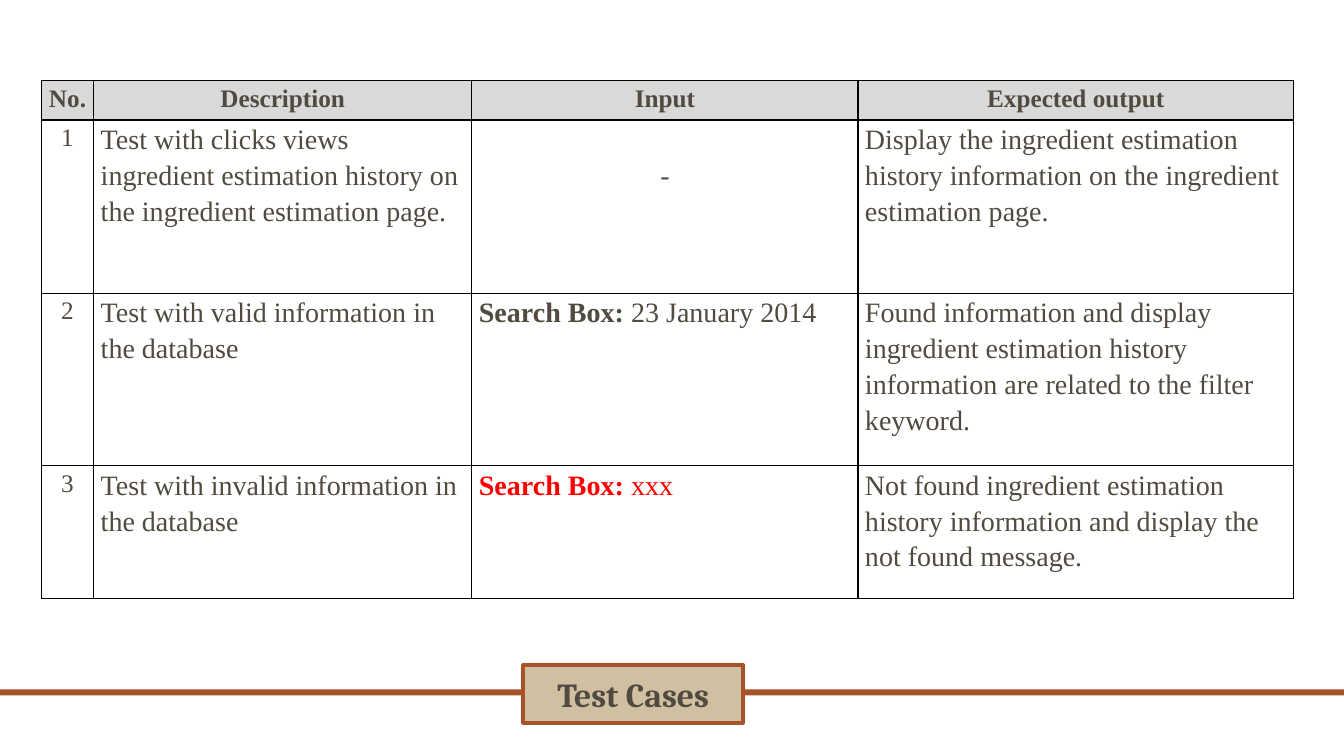
from pptx import Presentation
from pptx.dml.color import RGBColor
from pptx.enum.shapes import MSO_SHAPE as SHAPE
from pptx.enum.text import MSO_ANCHOR as ANCHOR, PP_ALIGN as ALIGN
from pptx.oxml import parse_xml
from pptx.oxml.ns import nsdecls
from pptx.util import Inches, Pt

INK, RUST, TAN, GREY, RED = "514A40", "A85229", "D0C0A1", "D9D9D9", "FF0000"
SERIF = "Times New Roman"
COL_WIDTHS = [0.52, 3.75, 3.83, 4.32]
ROW_HEIGHTS = [0.39, 1.72, 1.71, 1.32]
HEADERS = ["No.", "Description", "Input", "Expected output"]
CASES = [
    ("Test with clicks views ingredient estimation history on the ingredient estimation page.",
     [("-", False)], INK,
     "Display the ingredient estimation history information on the ingredient estimation page."),
    ("Test with valid information in the database",
     [("Search Box:", True), (" 23 January 2014", False)], INK,
     "Found information and display ingredient estimation history information "
     "are related to the filter keyword."),
    ("Test with invalid information in the database",
     [("Search Box:", True), (" xxx", False)], RED,
     "Not found ingredient estimation history information and display the not found message."),
]


def rgb(value):
    return RGBColor.from_string(value)


def add_run(p, text, size, font=SERIF, color=INK, bold=False):
    r = p.add_run()
    r.text = text
    r.font.size = Pt(size)
    r.font.name = font
    r.font.bold = bold
    r.font.color.rgb = rgb(color)


def add_box(s, x, y, w, h, fill, line=None):
    sp = s.shapes.add_shape(SHAPE.RECTANGLE, Inches(x), Inches(y), Inches(w), Inches(h))
    sp.shadow.inherit = False
    sp.fill.solid()
    sp.fill.fore_color.rgb = rgb(fill)
    if line:
        sp.line.color.rgb = rgb(line)
        sp.line.width = Pt(3)
    else:
        sp.line.fill.background()
    return sp


def add_borders(cell):
    tcPr = cell._tc.get_or_add_tcPr()
    for index, side in enumerate(("lnL", "lnR", "lnT", "lnB")):
        tcPr.insert(index, parse_xml(
            f'<a:{side} {nsdecls("a")} w="12700"><a:solidFill>'
            f'<a:srgbClr val="000000"/></a:solidFill></a:{side}>'))


def fill_cell(cell, runs, size=20, align=ALIGN.LEFT, color=INK, fill=None, top=0):
    cell.margin_left = cell.margin_right = Inches(0.07)
    cell.margin_top, cell.margin_bottom = Inches(top), 0
    if fill:
        cell.fill.solid()
        cell.fill.fore_color.rgb = rgb(fill)
    else:
        cell.fill.background()
    add_borders(cell)
    p = cell.text_frame.paragraphs[0]
    p.alignment = align
    p.line_spacing = 1.15
    for text, bold in runs:
        add_run(p, text, size, color=color, bold=bold)


def add_case_table(s, x, y, w, h):
    table = s.shapes.add_table(len(ROW_HEIGHTS), len(COL_WIDTHS),
                               Inches(x), Inches(y), Inches(w), Inches(h)).table
    for column, width in zip(table.columns, COL_WIDTHS):
        column.width = Inches(width)
    for row, height in zip(table.rows, ROW_HEIGHTS):
        row.height = Inches(height)
    for i, header in enumerate(HEADERS):
        fill_cell(table.cell(0, i), [(header, True)], 18, ALIGN.CENTER, fill=GREY)
    for n, (description, entry, color, output) in enumerate(CASES, 1):
        no_input = entry[0][0] == "-"
        fill_cell(table.cell(n, 0), [(str(n), False)], 18, ALIGN.CENTER)
        fill_cell(table.cell(n, 1), [(description, False)])
        fill_cell(table.cell(n, 2), entry, color=color,
                  align=ALIGN.CENTER if no_input else ALIGN.LEFT,
                  top=0.36 if no_input else 0)
        fill_cell(table.cell(n, 3), [(output, False)])


def add_title_band(s, x, y, w, h):
    add_box(s, x, y + 0.24, w, 0.06, RUST)
    sp = add_box(s, x + 5.19, y, 2.18, h, TAN, RUST)
    tf = sp.text_frame
    tf.word_wrap = True
    tf.vertical_anchor = ANCHOR.MIDDLE
    p = tf.paragraphs[0]
    p.alignment = ALIGN.CENTER
    add_run(p, "Test Cases", 24, "Cambria", bold=True)


def main():
    prs = Presentation()
    prs.slide_width, prs.slide_height = Inches(13.33), Inches(7.5)
    s = prs.slides.add_slide(prs.slide_layouts[6])
    add_title_band(s, 0, 6.6, 13.33, 0.57)
    add_case_table(s, 0.41, 0.8, sum(COL_WIDTHS), sum(ROW_HEIGHTS))
    prs.save("out.pptx")


if __name__ == "__main__":
    main()
